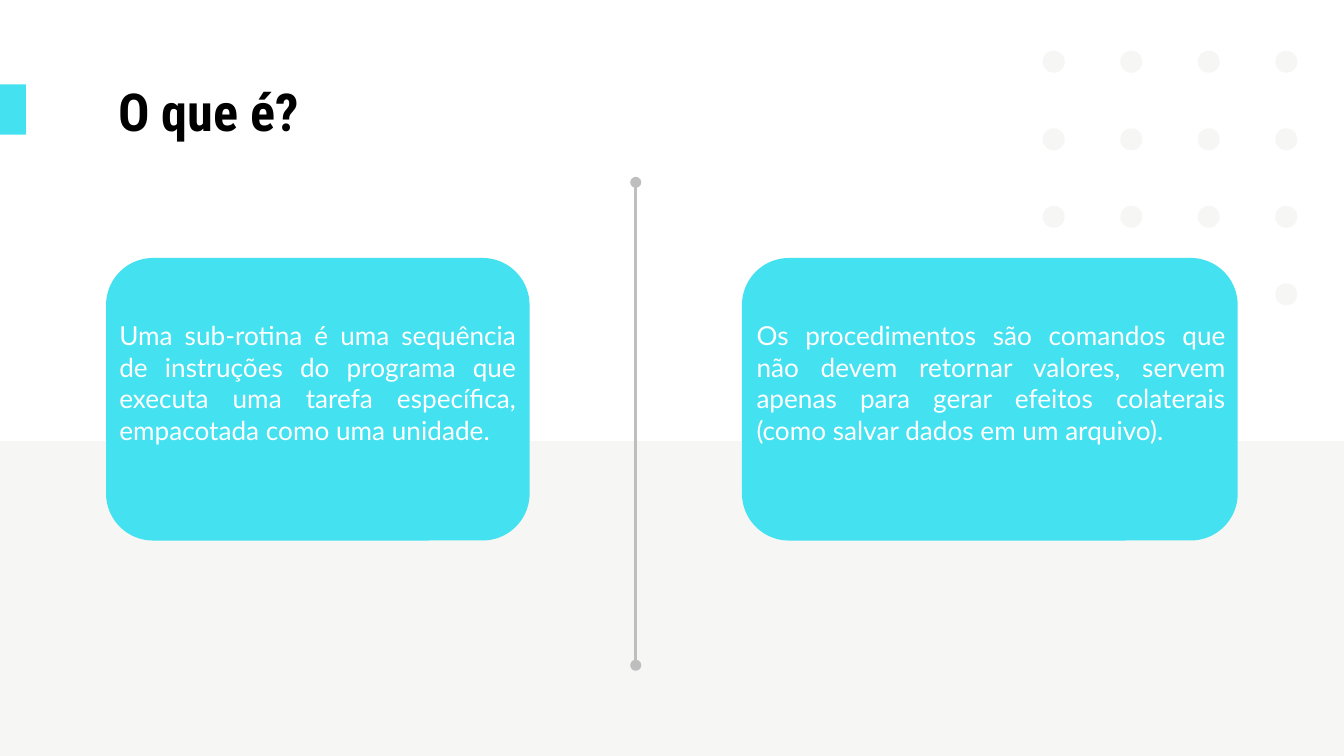
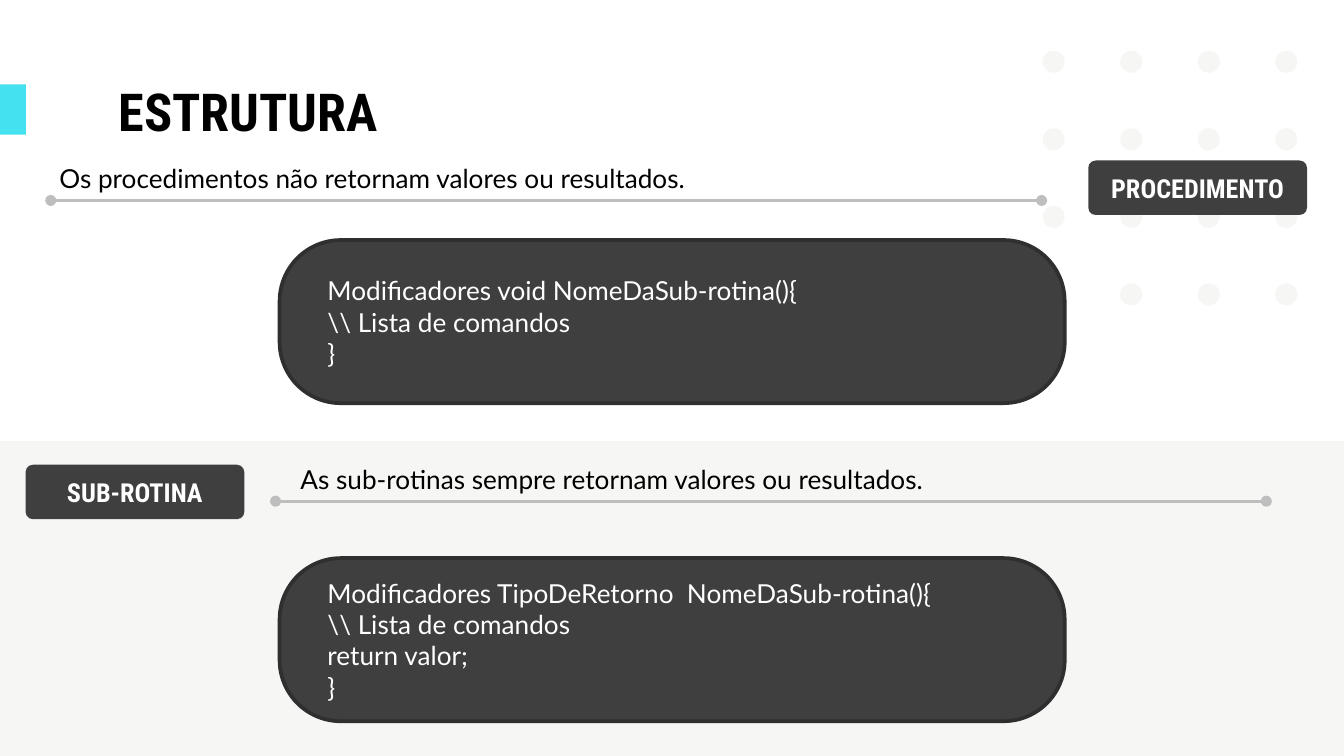
from dataclasses import dataclass

from pptx import Presentation
from pptx import util as u
from pptx.dml import color
from pptx.enum import shapes, text
from pptx.oxml import ns, xmlchemy

Pt = u.Pt
Preset = shapes.MSO_SHAPE
Anchor = text.MSO_ANCHOR
Align = text.PP_ALIGN


@dataclass(frozen=True)
class Theme:
    accent: str = "44E1F1"
    pale: str = "F6F6F4"
    white: str = "FFFFFF"
    black: str = "000000"
    dark: str = "3F3F3F"
    dark_edge: str = "2F2F2F"
    rule: str = "BEBEBE"
    heading_font: str = "Roboto Condensed"
    body_font: str = "Lato"
    title_size: float = 28
    body_size: float = 14
    inset: float = 7.2


THEME = Theme()


def rgb(value):
    return color.RGBColor.from_string(value)


def add_box(page, preset, place, fill, edge=None, corner=None):
    box = page.shapes.add_shape(preset, *map(Pt, place))
    box.shadow.inherit = False
    box.fill.solid()
    box.fill.fore_color.rgb = rgb(fill)
    if edge:
        box.line.color.rgb = rgb(edge)
        box.line.width = Pt(2)
    else:
        box.line.fill.background()
    if corner is not None:
        box.adjustments[0] = corner
    return box


def write(box, lines, ink, size=THEME.body_size, heading=False,
          align=Align.LEFT, anchor=Anchor.TOP, inset=THEME.inset):
    frame = box.text_frame
    frame.word_wrap = True
    frame.vertical_anchor = anchor
    frame.margin_left = frame.margin_right = Pt(THEME.inset)
    frame.margin_top = frame.margin_bottom = Pt(inset)
    for index, line in enumerate(lines):
        para = frame.add_paragraph() if index else frame.paragraphs[0]
        para.text = line
        para.alignment = align
        para.font.name = THEME.heading_font if heading else THEME.body_font
        para.font.size = Pt(size)
        para.font.bold = heading
        para.font.color.rgb = rgb(ink)
    return frame


def add_text(page, place, line, ink, **style):
    box = page.shapes.add_textbox(*map(Pt, place))
    write(box, [line], ink, **style)


def add_rule(page, start, end):
    rule = page.shapes.add_connector(
        shapes.MSO_CONNECTOR.STRAIGHT, *map(Pt, start + end))
    rule.line.color.rgb = rgb(THEME.rule)
    rule.line.width = Pt(1.5)
    line = rule.line._get_or_add_ln()
    for tag in ("a:headEnd", "a:tailEnd"):
        dot = xmlchemy.OxmlElement(tag)
        dot.set("type", "oval")
        line.append(dot)
    properties = rule._element.find(ns.qn("p:spPr"))
    properties.append(xmlchemy.OxmlElement("a:effectLst"))


def add_dots(page, last_row_start):
    step, size = 41.54, 11.8
    for row in range(4):
        for column in range(last_row_start if row == 3 else 0, 4):
            place = (558.6 + column * step, 27.2 + row * step, size, size)
            add_box(page, Preset.OVAL, place, THEME.pale)


def add_page(deck, title, last_row_start=0):
    page = deck.slides.add_slide(deck.slide_layouts[6])
    add_dots(page, last_row_start)
    add_box(page, Preset.RECTANGLE, (0, 206.6, 720, 198.4), THEME.pale)
    add_box(page, Preset.RECTANGLE, (0, 45.2, 13.9, 26.9), THEME.accent)
    add_box(page, Preset.RECTANGLE, (0, 204.5, 720, 31.7), THEME.white)
    add_text(page, (56.4, 35.3, 607.7, 45.4), title, THEME.black,
             size=THEME.title_size, heading=True)
    return page


def add_card(page, left, width, line, shift=0):
    add_box(page, Preset.ROUNDED_RECTANGLE, (left, 138.2, width, 151.4),
            THEME.accent)
    add_text(page, (left + shift, 167.8, width, 92.2), line, THEME.white,
             align=Align.JUSTIFY, inset=3.6)


def add_label(page, left, top, line):
    box = add_box(page, Preset.ROUNDED_RECTANGLE, (left, top, 117.2, 29.2),
                  THEME.dark, corner=0.135)
    write(box, [line], THEME.white, heading=True, align=Align.CENTER,
          anchor=Anchor.MIDDLE)


def add_statement(page, left, top, rule_left, rule_top, line):
    add_rule(page, (rule_left, rule_top), (rule_left + 530.8, rule_top))
    add_text(page, (left, top, 565, 28), line, THEME.black)


def add_code(page, top, lines):
    box = add_box(page, Preset.ROUNDED_RECTANGLE, (149.8, top, 420.6, 87.4),
                  THEME.dark, THEME.dark_edge, 0.375)
    frame = write(box, lines, THEME.white, align=Align.JUSTIFY,
                  anchor=Anchor.MIDDLE, inset=3.6)
    for para in frame.paragraphs:
        properties = para._p.get_or_add_pPr()
        properties.set("marL", str(Pt(36)))
        properties.set("indent", str(Pt(-27)))


def build_definition(deck):
    page = add_page(deck, "O que é?", last_row_start=3)
    add_card(page, 397.5, 265.6,
             "Os procedimentos são comandos que não devem retornar valores, "
             "servem apenas para gerar efeitos colaterais (como salvar dados "
             "em um arquivo).", shift=0.7)
    add_card(page, 56.8, 226.9,
             "Uma sub-rotina é uma sequência de instruções do programa que "
             "executa uma tarefa específica, empacotada como uma unidade.")
    add_rule(page, (340.6, 97.7), (340.6, 356.4))


def build_structure(deck):
    page = add_page(deck, "ESTRUTURA")
    add_label(page, 583, 86, "PROCEDIMENTO")
    add_statement(page, 24.7, 79.9, 27.2, 107.4,
                  "Os procedimentos não retornam valores ou resultados.")
    add_code(page, 128.6, ["Modificadores void NomeDaSub-rotina(){",
                           "\\\\ Lista de comandos", "}"])
    add_label(page, 13.7, 249, "SUB-ROTINA")
    add_statement(page, 153.9, 241.2, 147.6, 268.5,
                  "As sub-rotinas sempre retornam valores ou resultados.")
    add_code(page, 299, ["Modificadores TipoDeRetorno  NomeDaSub-rotina(){",
                         "\\\\ Lista de comandos", "return valor;", "}"])


def main():
    deck = Presentation()
    deck.slide_width, deck.slide_height = Pt(720), Pt(405)
    build_definition(deck)
    build_structure(deck)
    deck.save("out.pptx")


main()
